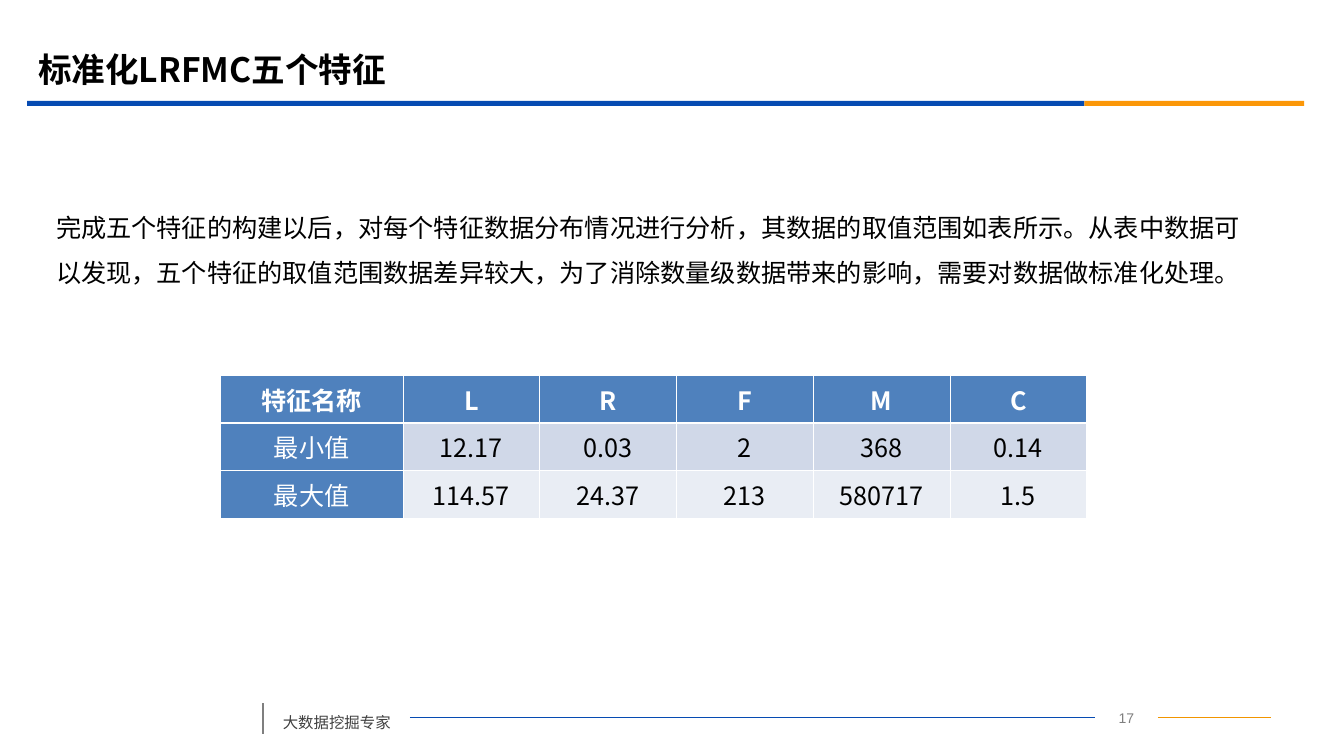
from lxml import etree
from pptx import Presentation
from pptx.dml.color import RGBColor
from pptx.enum.shapes import MSO_CONNECTOR, MSO_SHAPE
from pptx.enum.text import MSO_ANCHOR, PP_ALIGN
from pptx.oxml.ns import qn
from pptx.util import Pt

TITLE = "标准化LRFMC五个特征"
BODY = ("完成五个特征的构建以后，对每个特征数据分布情况进行分析，其数据的取值范围如表所示。"
        "从表中数据可以发现，五个特征的取值范围数据差异较大，为了消除数量级数据带来的影响，"
        "需要对数据做标准化处理。")
ROWS = [
    ["特征名称", "L", "R", "F", "M", "C"],
    ["最小值", "12.17", "0.03", "2", "368", "0.14"],
    ["最大值", "114.57", "24.37", "213", "580717", "1.5"],
]
FOOTER = "大数据挖掘专家"
PAGE = "17"

BLACK = RGBColor(0, 0, 0)
WHITE = RGBColor(255, 255, 255)
BLUE = RGBColor(0x06, 0x4B, 0xB2)
ORANGE = RGBColor(0xFB, 0x97, 0x08)
AMBER = RGBColor(0xF1, 0x95, 0x00)
GRAY = RGBColor(0x7F, 0x7F, 0x7F)
DARK = RGBColor(0x40, 0x40, 0x40)
HEAD = RGBColor(0x4F, 0x81, 0xBD)
BANDS = [RGBColor(0xD0, 0xD8, 0xE8), RGBColor(0xE9, 0xED, 0xF4)]

SANS = "Noto Sans CJK SC"
LEFT, CENTER = PP_ALIGN.LEFT, PP_ALIGN.CENTER
MIDDLE = MSO_ANCHOR.MIDDLE
RECT, LINE = MSO_SHAPE.RECTANGLE, MSO_CONNECTOR.STRAIGHT

# left, top, width, height, colour
BARS = [(19.5, 72, 755.5, 3.6, BLUE), (775, 72, 157, 3.6, ORANGE)]
# from x, y, to x, y, colour, width
RULES = [
    (827.5, 512.6, 908, 512.6, AMBER, 0.75),
    (293, 512.6, 782.5, 512.6, BLUE, 0.75),
    (188, 502.5, 188, 524.2, GRAY, 1.25),
]
NAME_W, COL_W, ROW_H = 130.5, 97.75, 34.1
THIN, THICK = 0.45, 1.47


def write(frame, text, size, color, face=SANS, bold=False, align=LEFT):
    frame.word_wrap = True
    para = frame.paragraphs[0]
    para.text = text
    para.alignment = align
    font = para.font
    font.size, font.bold, font.name = Pt(size), bold, face
    font.color.rgb = color
    props = para._p.pPr.find(qn("a:defRPr"))
    etree.SubElement(props, qn("a:ea"), typeface=face)
    return para


def add_text(slide, box, *args, **style):
    shape = slide.shapes.add_textbox(*map(Pt, box))
    return write(shape.text_frame, *args, **style)


def add_rule(slide, x1, y1, x2, y2, color, width):
    rule = slide.shapes.add_connector(LINE, Pt(x1), Pt(y1), Pt(x2), Pt(y2))
    rule.line.color.rgb = color
    rule.line.width = Pt(width)
    etree.SubElement(rule._element.spPr, qn("a:effectLst"))


def add_edges(cell, row):
    """Draw white cell borders, thick below the header row."""
    props = cell._tc.get_or_add_tcPr()
    sides = {"L": THIN, "R": THIN,
             "T": THICK if row == 1 else THIN,
             "B": THICK if row == 0 else THIN}
    for spot, (side, width) in enumerate(sides.items()):
        edge = etree.Element(qn("a:ln" + side), w=str(int(Pt(width))))
        fill = etree.SubElement(edge, qn("a:solidFill"))
        etree.SubElement(fill, qn("a:srgbClr"), val=str(WHITE))
        props.insert(spot, edge)


def add_grid(slide):
    count = len(ROWS[0])
    widths = [NAME_W] + [COL_W] * (count - 1)
    table = slide.shapes.add_table(
        len(ROWS), count, Pt(157.5), Pt(268),
        Pt(sum(widths)), Pt(ROW_H * len(ROWS))).table
    for col, width in zip(table.columns, widths):
        col.width = Pt(width)
    for r, row in enumerate(ROWS):
        table.rows[r].height = Pt(ROW_H)
        for c, text in enumerate(row):
            cell = table.cell(r, c)
            label = r == 0 or c == 0
            cell.margin_left = cell.margin_right = Pt(3)
            cell.vertical_anchor = MIDDLE
            cell.fill.solid()
            cell.fill.fore_color.rgb = HEAD if label else BANDS[r - 1]
            write(cell.text_frame, text, 18, WHITE if label else BLACK,
                  bold=r == 0, align=CENTER)
            add_edges(cell, r)


def main():
    deck = Presentation()
    deck.slide_width, deck.slide_height = Pt(960.5), Pt(540)
    slide = deck.slides.add_slide(deck.slide_layouts[5])

    title = slide.shapes.title
    title.left, title.top, title.width, title.height = map(
        Pt, (20, 28, 864, 42))
    title.text_frame.vertical_anchor = MIDDLE
    write(title.text_frame, TITLE, 24, BLACK, bold=True)

    for *box, color in BARS:
        bar = slide.shapes.add_shape(RECT, *map(Pt, box))
        bar.shadow.inherit = False
        bar.fill.solid()
        bar.fill.fore_color.rgb = color
        bar.line.fill.background()
    for rule in RULES:
        add_rule(slide, *rule)

    add_text(slide, (782.5, 503.5, 45, 18), PAGE, 10, GRAY,
             face="Arial", align=CENTER)
    foot = add_text(slide, (195, 499.5, 98, 27.5), FOOTER, 11, DARK)
    body = add_text(slide, (33, 137, 875, 344), BODY, 18, BLACK)
    for para, gap in ((foot, 6), (body, 9)):
        para.line_spacing = 1.5
        para.space_before = Pt(gap)
    add_grid(slide)
    deck.save("out.pptx")


if __name__ == "__main__":
    main()
